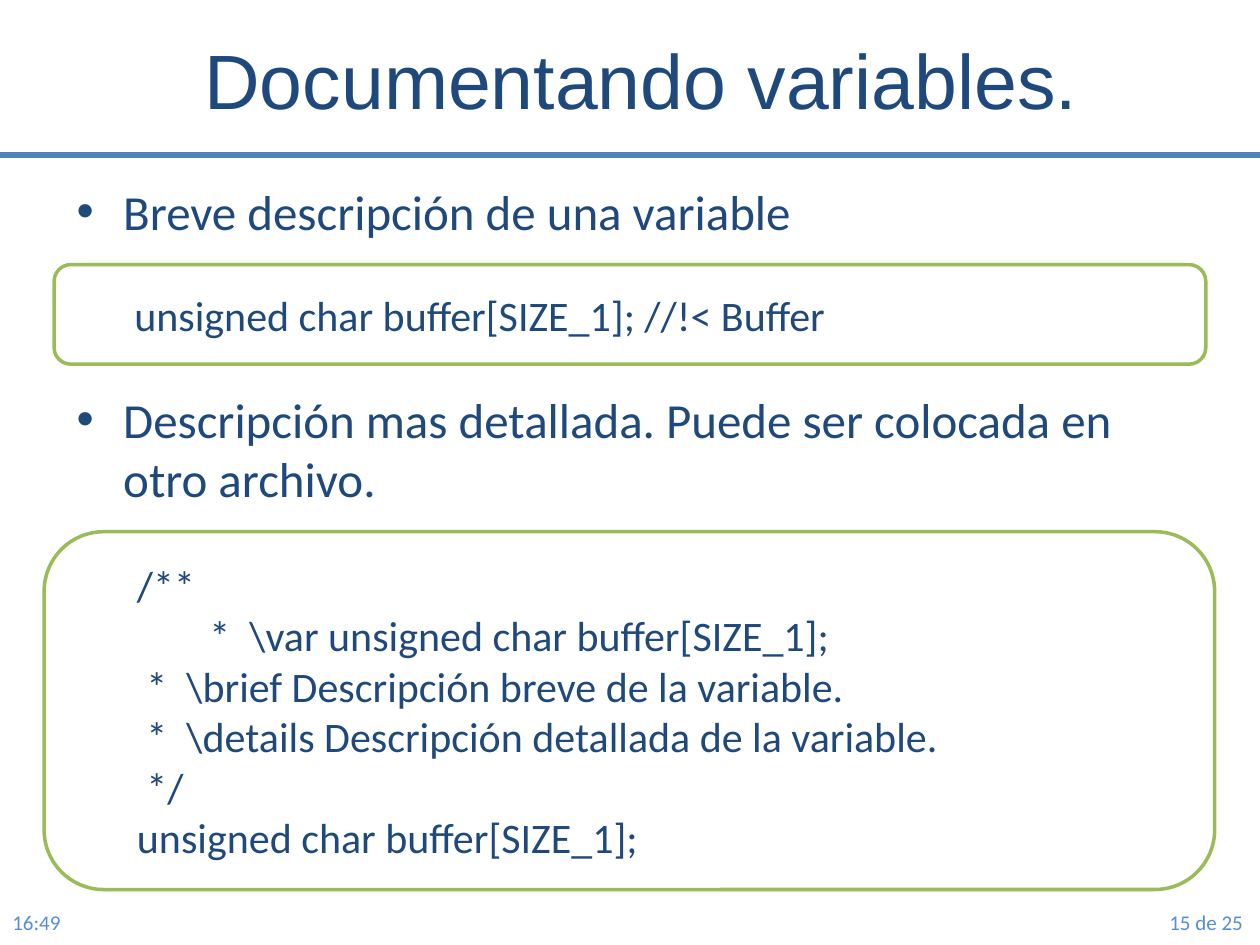
from lxml.etree import SubElement
from pptx import Presentation
from pptx.dml.color import RGBColor
from pptx.enum.shapes import MSO_CONNECTOR as Connector, MSO_SHAPE as Shape
from pptx.enum.text import MSO_ANCHOR as Anchor, PP_ALIGN as Align
from pptx.oxml.ns import qn
from pptx.util import Inches, Pt

NAVY = RGBColor(0x1F, 0x49, 0x7D)
BLUE = RGBColor(0x4F, 0x81, 0xBD)
SKY = RGBColor(0x55, 0x8E, 0xD5)
GREEN = RGBColor(0x9B, 0xBB, 0x59)
WHITE = RGBColor(0xFF, 0xFF, 0xFF)

COLUMNS, ROWS = 100, 75
CODE_INDENT = 0.5
BULLET_INDENT = 0.37


def write(para, text, size=24, font="Calibri", color=NAVY, align=Align.LEFT,
          indent=0, bullet=None, before=0):
    para.alignment = align
    para.space_before = Pt(before)
    props = para._p.get_or_add_pPr()
    props.set("marL", str(Inches(indent)))
    props.set("indent", str(Inches(-indent if bullet else 0)))
    if bullet:
        SubElement(props, qn("a:buFont")).set("typeface", "Arial")
        SubElement(props, qn("a:buChar")).set("char", bullet)
    span = para.add_run()
    span.text = text
    span.font.size = Pt(size)
    span.font.name = font
    span.font.color.rgb = color


class Page:
    def __init__(self, deck):
        self.slide = deck.slides.add_slide(deck.slide_layouts[6])
        self.column = deck.slide_width / COLUMNS
        self.row = deck.slide_height / ROWS

    def place(self, left, top, width, height):
        return (round(left * self.column), round(top * self.row),
                round(width * self.column), round(height * self.row))

    def label(self, area, text, anchor=Anchor.MIDDLE, **style):
        box = self.slide.shapes.add_textbox(*self.place(*area))
        box.text_frame.word_wrap = True
        box.text_frame.vertical_anchor = anchor
        write(box.text_frame.paragraphs[0], text, **style)

    def bullet(self, top, height, text):
        self.label((5.1, top, 90, height), text, Anchor.TOP, size=28,
                   indent=BULLET_INDENT, bullet="•", before=8)

    def rule(self, top):
        line = self.slide.shapes.add_connector(
            Connector.STRAIGHT, *self.place(0, top, COLUMNS, top))
        line.line.color.rgb = BLUE
        line.line.width = Pt(3)
        SubElement(line._element.spPr, qn("a:effectLst"))

    def code(self, area, lines):
        box = self.slide.shapes.add_shape(Shape.ROUNDED_RECTANGLE, *self.place(*area))
        box.shadow.inherit = False
        box.fill.solid()
        box.fill.fore_color.rgb = WHITE
        box.line.color.rgb = GREEN
        box.line.width = Pt(2)
        frame = box.text_frame
        frame.word_wrap = True
        frame.vertical_anchor = Anchor.MIDDLE
        for number, (text, steps) in enumerate(lines):
            para = frame.add_paragraph() if number else frame.paragraphs[0]
            write(para, text, indent=steps * CODE_INDENT)


def main():
    deck = Presentation()
    deck.slide_width, deck.slide_height = Inches(10), Inches(7.5)
    page = Page(deck)
    page.label((5.9, 0, 90, 12.5), "Documentando variables.",
               size=44, font="Arial", align=Align.CENTER)
    page.rule(12.3)
    page.label((0, 71.4, 8.3, 3.6), "16:49", size=12, color=SKY)
    page.label((90.2, 71.4, 9.8, 3.6), "15 de 25 ", size=12, color=SKY, align=Align.RIGHT)
    page.bullet(13.9, 5.5, "Breve descripción de una variable")
    page.code((4.3, 21, 91.4, 7.9), [("unsigned char buffer[SIZE_1]; //!< Buffer", 1)])
    page.bullet(30.4, 11, "Descripción mas detallada. Puede ser colocada en otro archivo.")
    page.code((3.5, 42.2, 92.9, 28.4), [
        ("/**", 1),
        (" *  \\var unsigned char buffer[SIZE_1];", 2),
        (" *  \\brief Descripción breve de la variable.", 1),
        (" *  \\details Descripción detallada de la variable.", 1),
        (" */", 1),
        ("unsigned char buffer[SIZE_1];", 1),
    ])
    deck.save("out.pptx")


if __name__ == "__main__":
    main()
